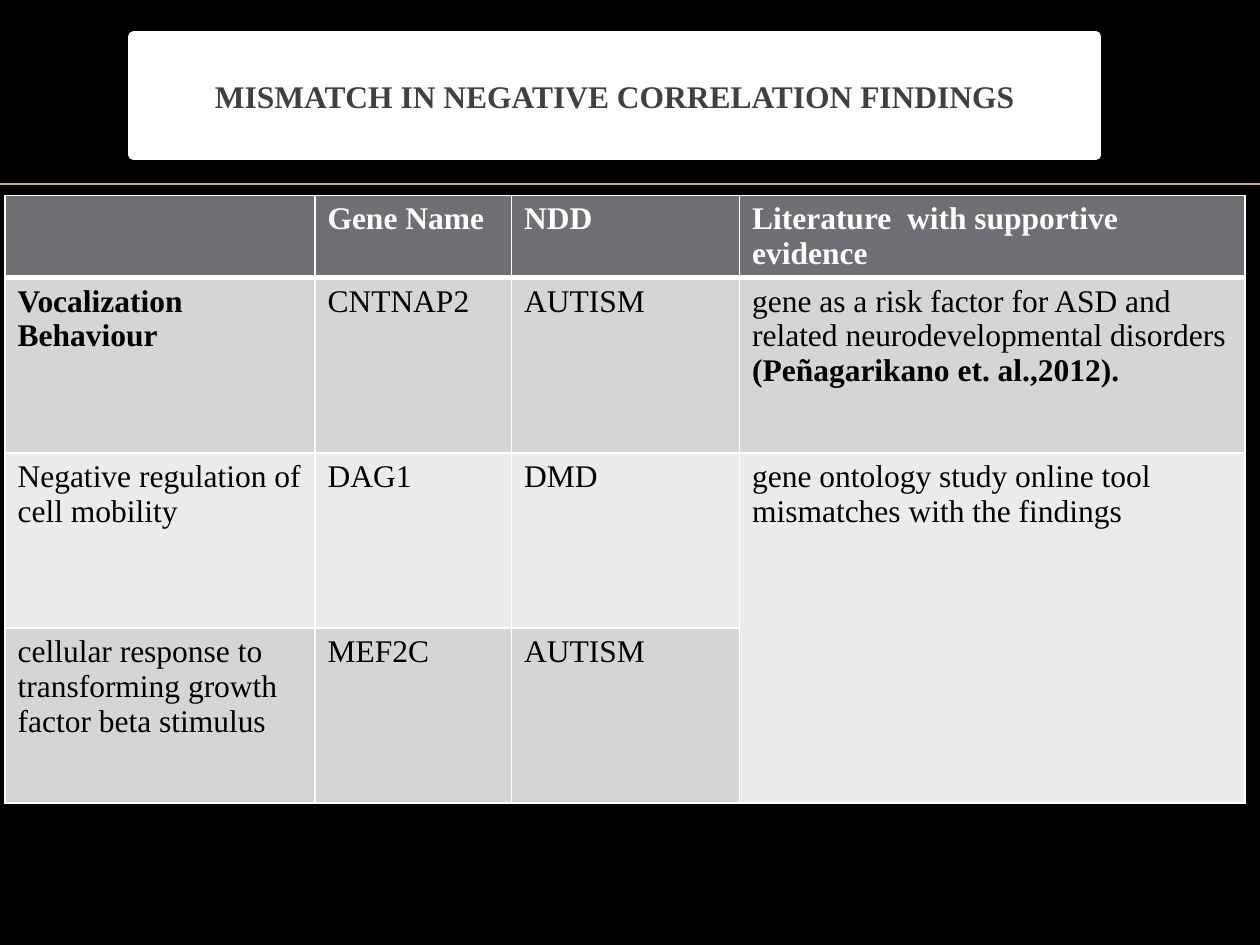
from dataclasses import dataclass

from pptx import Presentation
from pptx import util as u
from pptx.dml.color import RGBColor
from pptx.enum import shapes, text
from pptx.oxml import parse_xml
from pptx.oxml.ns import nsdecls


@dataclass(frozen=True)
class Theme:
    font: str = "Times New Roman"
    size: int = 18
    background: str = "000000"
    rule: str = "BBAA8A"
    panel: str = "FFFFFF"
    title: str = "404040"
    header: str = "6F6F74"
    header_text: str = "FFFFFF"
    body_text: str = "000000"
    bands: tuple = ("D5D5D6", "EBEBEB")
    border: str = "FFFFFF"
    thin: int = 1
    thick: int = 3
    frame: int = 6


THEME = Theme()
TITLE = "MISMATCH IN NEGATIVE CORRELATION FINDINGS"
COLUMN_WIDTHS = (2.46, 1.56, 1.81, 4.01)
ROW_HEIGHTS = (0.61, 1.39, 1.39, 1.39)
HEADERS = ("", "Gene Name", "NDD", "Literature  with supportive evidence")
FINDINGS = (
    (
        (("Vocalization Behaviour", True),),
        "CNTNAP2",
        "AUTISM",
        (
            ("gene as a risk factor for ASD and related neurodevelopmental disorders ", False),
            ("(Peñagarikano et. al.,2012).", True),
        ),
    ),
    (
        "Negative regulation of cell mobility",
        "DAG1",
        "DMD",
        "gene ontology study online tool mismatches with the findings",
    ),
    (
        "cellular response to transforming growth factor beta stimulus",
        "MEF2C",
        "AUTISM",
        "",
    ),
)


def apply_format(target, values):
    for name, value in values.items():
        setattr(target, name, value)


def paint(fill, color):
    fill.solid()
    fill.fore_color.rgb = RGBColor.from_string(color)


def set_line(line, color, width):
    paint(line.fill, color)
    line.width = u.Pt(width)


def add_run(paragraph, content, color, bold):
    run = paragraph.add_run()
    run.text = content
    apply_format(run.font, {"name": THEME.font, "size": u.Pt(THEME.size), "bold": bold})
    run.font.color.rgb = RGBColor.from_string(color)


def add_rule(slide, top, width):
    connector = slide.shapes.add_connector(
        shapes.MSO_CONNECTOR.STRAIGHT, 0, u.Inches(top), u.Inches(width), u.Inches(top)
    )
    set_line(connector.line, THEME.rule, THEME.thin)
    connector._element.spPr.append(parse_xml(f"<a:effectLst {nsdecls('a')}/>"))


def add_title(slide, content, left, top, width, height):
    shape = slide.shapes.add_shape(
        shapes.MSO_SHAPE.RECTANGLE, *map(u.Inches, (left, top, width, height))
    )
    shape.shadow.inherit = False
    paint(shape.fill, THEME.panel)
    set_line(shape.line, THEME.panel, THEME.frame)
    frame = shape.text_frame
    apply_format(frame, {"word_wrap": True, "vertical_anchor": text.MSO_ANCHOR.MIDDLE})
    paragraph = frame.paragraphs[0]
    apply_format(paragraph, {"alignment": text.PP_ALIGN.CENTER, "space_before": u.Pt(4)})
    add_run(paragraph, content, THEME.title, True)


def set_borders(cell, top, bottom):
    properties = cell._tc.get_or_add_tcPr()
    widths = {"lnL": THEME.thin, "lnR": THEME.thin, "lnT": top, "lnB": bottom}
    for tag, width in widths.items():
        properties.append(parse_xml(
            f'<a:{tag} {nsdecls("a")} w="{u.Pt(width)}"><a:solidFill>'
            f'<a:srgbClr val="{THEME.border}"/></a:solidFill></a:{tag}>'
        ))


def fill_cell(cell, content, row):
    is_header = row == 0
    set_borders(
        cell,
        THEME.thick if row == 1 else THEME.thin,
        THEME.thick if is_header else THEME.thin,
    )
    paint(cell.fill, THEME.header if is_header else THEME.bands[(row - 1) % 2])
    color = THEME.header_text if is_header else THEME.body_text
    parts = ((content, is_header),) if isinstance(content, str) else content
    for words, bold in parts:
        if words:
            add_run(cell.text_frame.paragraphs[0], words, color, bold)


def add_findings_table(slide, left, top):
    rows = (HEADERS, *FINDINGS)
    size = (sum(COLUMN_WIDTHS), sum(ROW_HEIGHTS))
    table = slide.shapes.add_table(
        len(rows), len(HEADERS), *map(u.Inches, (left, top, *size))
    ).table
    for column, width in zip(table.columns, COLUMN_WIDTHS):
        column.width = u.Inches(width)
    for row, height in zip(table.rows, ROW_HEIGHTS):
        row.height = u.Inches(height)
    for row_index, row in enumerate(rows):
        for column_index, content in enumerate(row):
            fill_cell(table.cell(row_index, column_index), content, row_index)
    table.cell(2, 3).merge(table.cell(3, 3))


def main():
    presentation = Presentation()
    apply_format(presentation, {"slide_width": u.Inches(10), "slide_height": u.Inches(7.5)})
    slide = presentation.slides.add_slide(presentation.slide_layouts[6])
    paint(slide.background.fill, THEME.background)
    add_rule(slide, 1.46, 10)
    add_findings_table(slide, 0.04, 1.55)
    add_title(slide, TITLE, 1.06, 0.29, 7.64, 0.94)
    presentation.save("out.pptx")


if __name__ == "__main__":
    main()
